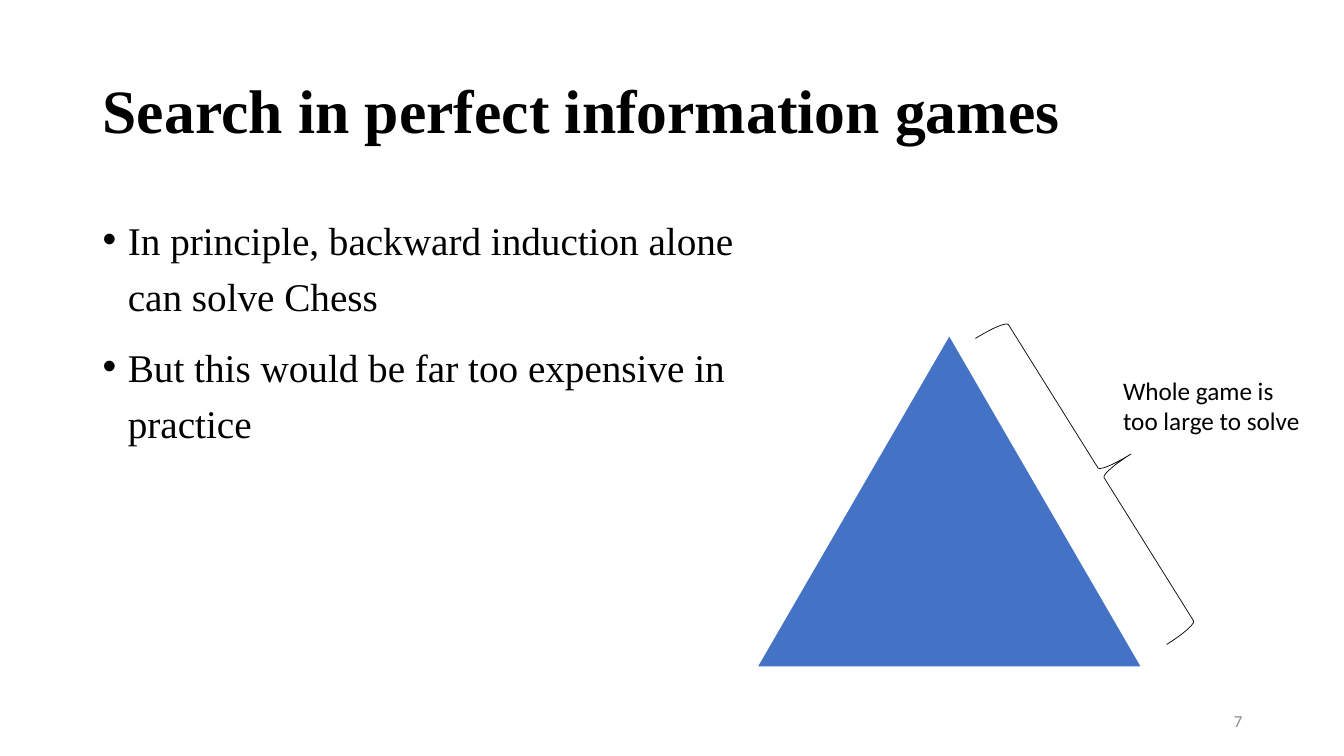
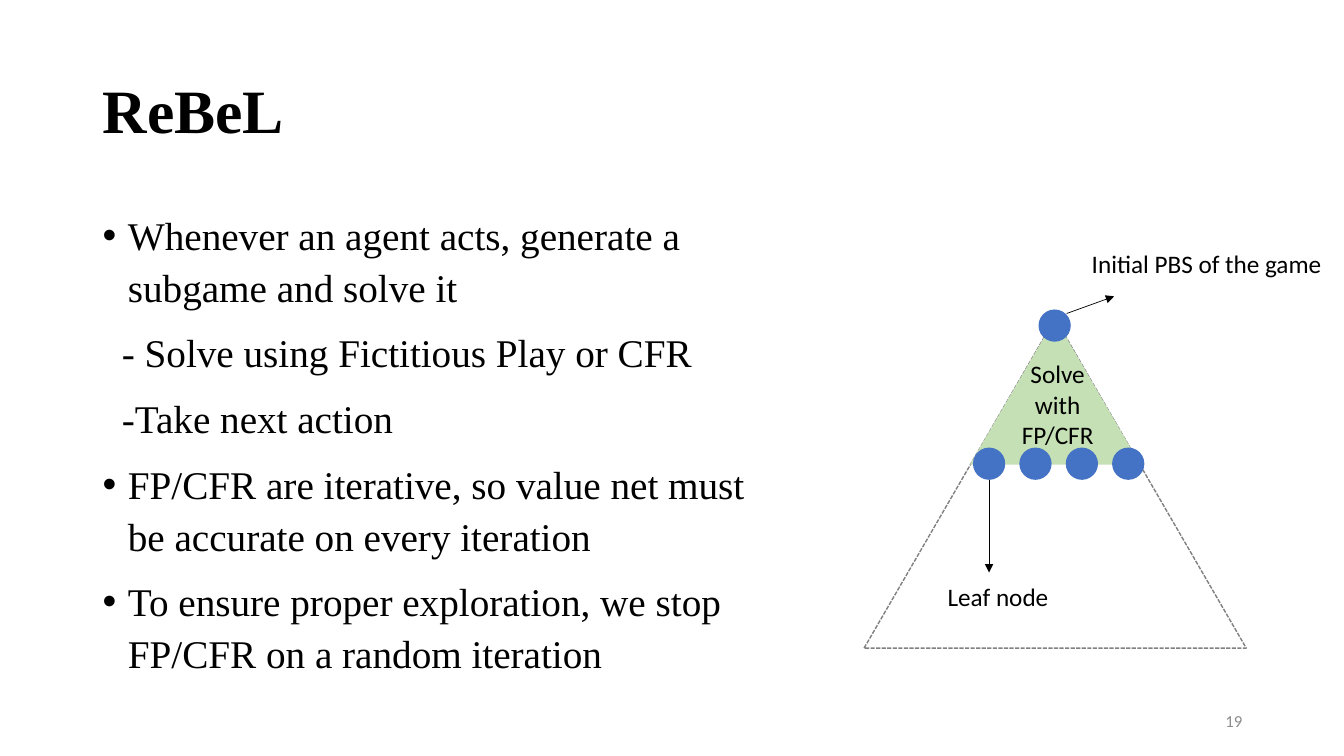
from dataclasses import dataclass

from lxml import etree
from pptx import Presentation
from pptx.dml.color import RGBColor
from pptx.enum import dml, shapes, text
from pptx.oxml import ns
from pptx.util import Inches, Pt


@dataclass(frozen=True)
class Theme:
    ink: RGBColor = RGBColor.from_string("000000")
    muted: RGBColor = RGBColor.from_string("8C8C8C")
    outline: RGBColor = RGBColor.from_string("808080")
    blue: RGBColor = RGBColor.from_string("4472C4")
    green: RGBColor = RGBColor.from_string("C5E0B4")
    serif: str = "Times New Roman"
    sans: str = "Calibri"
    title_size: int = 44
    body_size: int = 28
    label_size: int = 18
    number_size: int = 12


SHAPE = shapes.MSO_SHAPE
ALIGN = text.PP_ALIGN
ANCHOR = text.MSO_ANCHOR


class SlideBuilder:
    def __init__(self, deck, theme):
        self.deck = deck
        self.theme = theme
        self.slide = None

    def start(self, title, number):
        """Add a slide with its title and page number."""
        theme = self.theme
        self.slide = self.deck.slides.add_slide(self.deck.slide_layouts[6])
        frame = self.text_frame(0.92, 0.4, 11.5, 1.45, ANCHOR.MIDDLE)
        para = frame.paragraphs[0]
        para.text = title
        para.line_spacing = 0.9
        self.style(para, theme.serif, theme.title_size, bold=True)

        frame = self.text_frame(9.42, 6.95, 3, 0.4, ANCHOR.MIDDLE)
        para = frame.paragraphs[0]
        para.text = str(number)
        para.alignment = ALIGN.RIGHT
        self.style(para, theme.sans, theme.number_size, theme.muted)

    def text_frame(self, left, top, width, height, anchor=ANCHOR.TOP):
        box = self.slide.shapes.add_textbox(
            Inches(left), Inches(top), Inches(width), Inches(height))
        frame = box.text_frame
        frame.word_wrap = True
        frame.vertical_anchor = anchor
        return frame

    def style(self, para, name, size, color=None, bold=False):
        font = para.font
        font.name = name
        font.size = Pt(size)
        font.bold = bold
        font.color.rgb = color or self.theme.ink

    def body(self, items, line_spacing):
        """Add the main text from (is_bullet, wording) pairs."""
        frame = self.text_frame(0.92, 2, 6.98, 4.76)
        for index, (is_bullet, wording) in enumerate(items):
            para = frame.add_paragraph() if index else frame.paragraphs[0]
            para.text = wording
            para.line_spacing = line_spacing
            para.space_before = Pt(10 if index else 0)
            self.indent(para, is_bullet)
            self.style(para, self.theme.serif, self.theme.body_size)

    def indent(self, para, is_bullet):
        properties = para._p.get_or_add_pPr()
        properties.set("marL", str(Inches(0.25 if is_bullet else 0.19)))
        if is_bullet:
            properties.set("indent", str(Inches(-0.25)))
            font = etree.SubElement(properties, ns.qn("a:buFont"))
            font.set("typeface", "Arial")
            etree.SubElement(properties, ns.qn("a:buChar")).set("char", "•")

    def label(self, wording, left, top, width, height, align=ALIGN.LEFT):
        para = self.text_frame(left, top, width, height).paragraphs[0]
        para.text = wording
        para.alignment = align
        self.style(para, self.theme.sans, self.theme.label_size)

    def shape(self, kind, left, top, width, height, fill=None, line=None,
              weight=1):
        shape = self.slide.shapes.add_shape(
            kind, Inches(left), Inches(top), Inches(width), Inches(height))
        shape.shadow.inherit = False
        if fill is None:
            shape.fill.background()
        else:
            shape.fill.solid()
            shape.fill.fore_color.rgb = fill
        if line is None:
            shape.line.fill.background()
        else:
            shape.line.color.rgb = line
            shape.line.width = Pt(weight)
        return shape

    def node(self, left, top):
        self.shape(SHAPE.OVAL, left, top, 0.32, 0.32, self.theme.blue)

    def arrow(self, start, end):
        points = [Inches(value) for value in (*start, *end)]
        arrow = self.slide.shapes.add_connector(
            shapes.MSO_CONNECTOR.STRAIGHT, *points)
        arrow.line.color.rgb = self.theme.ink
        arrow.line.width = Pt(0.5)
        head = etree.SubElement(arrow.line._get_or_add_ln(),
                                ns.qn("a:tailEnd"))
        head.set("type", "triangle")
        etree.SubElement(arrow._element.spPr, ns.qn("a:effectLst"))


def add_search_slide(page):
    theme = page.theme
    page.start("Search in perfect information games", 7)
    page.body([
        (True, "In principle, backward induction alone can solve Chess"),
        (True, "But this would be far too expensive in practice"),
    ], line_spacing=1.2)
    page.shape(SHAPE.ISOSCELES_TRIANGLE, 7.52, 3.34, 3.79, 3.27, theme.blue)
    brace = page.shape(SHAPE.RIGHT_BRACE, 10.57, 2.9, 0.7, 3.58,
                       line=theme.ink, weight=0.5)
    brace.rotation = 328
    brace.adjustments[0] = 0.08
    brace.adjustments[1] = 0.5
    page.label("Whole game is too large to solve", 11.04, 3.67, 2.05, 0.71)


def add_rebel_slide(page):
    theme = page.theme
    page.start("ReBeL", 19)
    page.body([
        (True, "Whenever an agent acts, generate a subgame and solve it"),
        (False, "- Solve using Fictitious Play or CFR"),
        (False, "-Take next action"),
        (True, "FP/CFR are iterative, so value net must be accurate on "
               "every iteration"),
        (True, "To ensure proper exploration, we stop FP/CFR on a random "
               "iteration"),
    ], line_spacing=1.1)
    game = page.shape(SHAPE.ISOSCELES_TRIANGLE, 8.57, 3.16, 3.79, 3.27,
                      line=theme.outline)
    game.line.dash_style = dml.MSO_LINE.SQUARE_DOT
    page.shape(SHAPE.ISOSCELES_TRIANGLE, 9.62, 3.16, 1.69, 1.45, theme.green)
    for index in range(4):
        page.node(9.65 + 0.46 * index, 4.44)
    page.label("Solve with FP/CFR", 10.02, 3.51, 0.94, 1.01, ALIGN.CENTER)
    page.arrow((9.81, 4.76), (9.81, 5.68))
    page.label("Leaf node", 9.3, 5.72, 2.05, 0.4)
    page.node(10.3, 3.07)
    page.arrow((10.58, 3.11), (11.05, 2.94))
    page.label("Initial PBS of the game", 10.73, 2.41, 2.6, 0.4)


def main():
    deck = Presentation()
    deck.slide_width = Inches(13.33)
    deck.slide_height = Inches(7.5)
    page = SlideBuilder(deck, Theme())
    add_search_slide(page)
    add_rebel_slide(page)
    deck.save("out.pptx")


if __name__ == "__main__":
    main()
